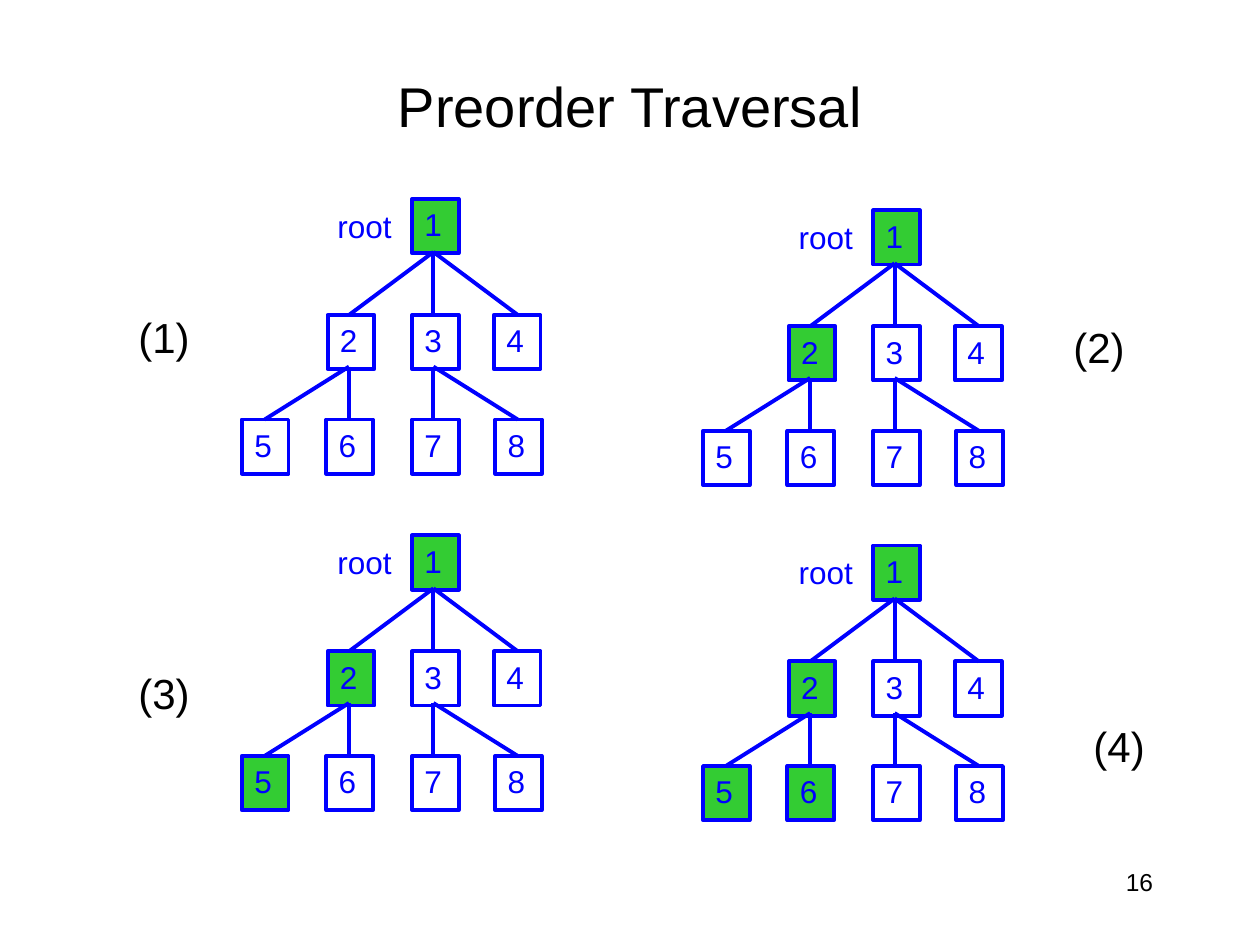
from lxml import etree
from pptx import Presentation
from pptx.dml.color import RGBColor
from pptx.enum import shapes, text
from pptx.oxml.ns import qn
from pptx.util import Inches, Pt

COLORS = {"ink": "000000", "blue": "0000FF", "visited": "33CC33"}
FONT = "Arial"
NODE_SIZE = (0.37, 0.43)

# Node offsets from the top left corner of the root
NODES = {
    1: (0, 0),
    2: (-0.67, 0.92), 3: (0, 0.92), 4: (0.65, 0.92),
    5: (-1.35, 1.75), 6: (-0.68, 1.75), 7: (0, 1.75), 8: (0.66, 1.75),
}
# Edges as (level, parent column, child column)
EDGES = [(0, 0, 0), (0, 0, -1), (0, 0, 1),
         (1, -1, -2), (1, -1, -1), (1, 0, 0), (1, 0, 1)]
EDGE_SPANS = [(0.42, 0.92), (1.33, 1.75)]
COLUMN_STEP = 0.67
EDGE_START = 0.17

# Root corner, visited nodes, step label and its corner
STEPS = [
    ((3.27, 1.58), {1}, "(1)", (1, 2.42)),
    ((6.93, 1.67), {1, 2}, "(2)", (8.42, 2.5)),
    ((3.27, 4.25), {1, 2, 5}, "(3)", (1, 5.25)),
    ((6.93, 4.33), {1, 2, 5, 6}, "(4)", (8.58, 5.67)),
]


def rgb(name):
    return RGBColor.from_string(COLORS[name])


def write(frame, words, size, color, align=text.PP_ALIGN.LEFT,
          anchor=text.MSO_ANCHOR.TOP, wrap=False):
    frame.text = words
    frame.word_wrap = wrap
    frame.auto_size = (text.MSO_AUTO_SIZE.NONE if wrap
                       else text.MSO_AUTO_SIZE.SHAPE_TO_FIT_TEXT)
    frame.vertical_anchor = anchor
    paragraph = frame.paragraphs[0]
    paragraph.alignment = align
    font = paragraph.runs[0].font
    font.name, font.size = FONT, Pt(size)
    font.color.rgb = rgb(color)


def add_label(slide, box, words, size, color="ink", **layout):
    label = slide.shapes.add_textbox(*map(Inches, box))
    write(label.text_frame, words, size, color, **layout)


def add_node(slide, x, y, number, visited):
    node = slide.shapes.add_shape(shapes.MSO_SHAPE.RECTANGLE,
                                  *map(Inches, (x, y, *NODE_SIZE)))
    node.shadow.inherit = False
    if visited:
        node.fill.solid()
        node.fill.fore_color.rgb = rgb("visited")
    else:
        node.fill.background()
    node.line.color.rgb = rgb("blue")
    node.line.width = Pt(2.25)
    write(node.text_frame, str(number), 18, "blue")


def add_edge(slide, start, end):
    edge = slide.shapes.add_connector(shapes.MSO_CONNECTOR.STRAIGHT,
                                      *map(Inches, (*start, *end)))
    edge.line.color.rgb = rgb("blue")
    edge.line.width = Pt(2.25)
    etree.SubElement(edge._element.spPr, qn("a:effectLst"))


def add_tree(slide, root, visited):
    left, top = root
    for number, (dx, dy) in NODES.items():
        add_node(slide, left + dx, top + dy, number, number in visited)
    for level, parent, child in EDGES:
        begin, finish = EDGE_SPANS[level]
        middle = left + EDGE_START
        add_edge(slide, (middle + parent * COLUMN_STEP, top + begin),
                 (middle + child * COLUMN_STEP, top + finish))
    add_label(slide, (left - 0.69, top + 0.01, 0.63, 0.4), "root", 18, "blue")


def main():
    deck = Presentation()
    deck.slide_width, deck.slide_height = Inches(10), Inches(7.5)
    slide = deck.slides.add_slide(deck.slide_layouts[6])

    # Title and page number
    add_label(slide, (0.75, 0.42, 8.5, 0.83), "Preorder Traversal", 32,
              align=text.PP_ALIGN.CENTER, anchor=text.MSO_ANCHOR.MIDDLE,
              wrap=True)
    add_label(slide, (7.17, 6.83, 2.08, 0.5), "16", 14,
              align=text.PP_ALIGN.RIGHT, wrap=True)

    # Traversal steps
    for root, visited, step, corner in STEPS:
        add_tree(slide, root, visited)
        add_label(slide, (*corner, 0.61, 0.5), step, 24)

    deck.save("out.pptx")


main()
